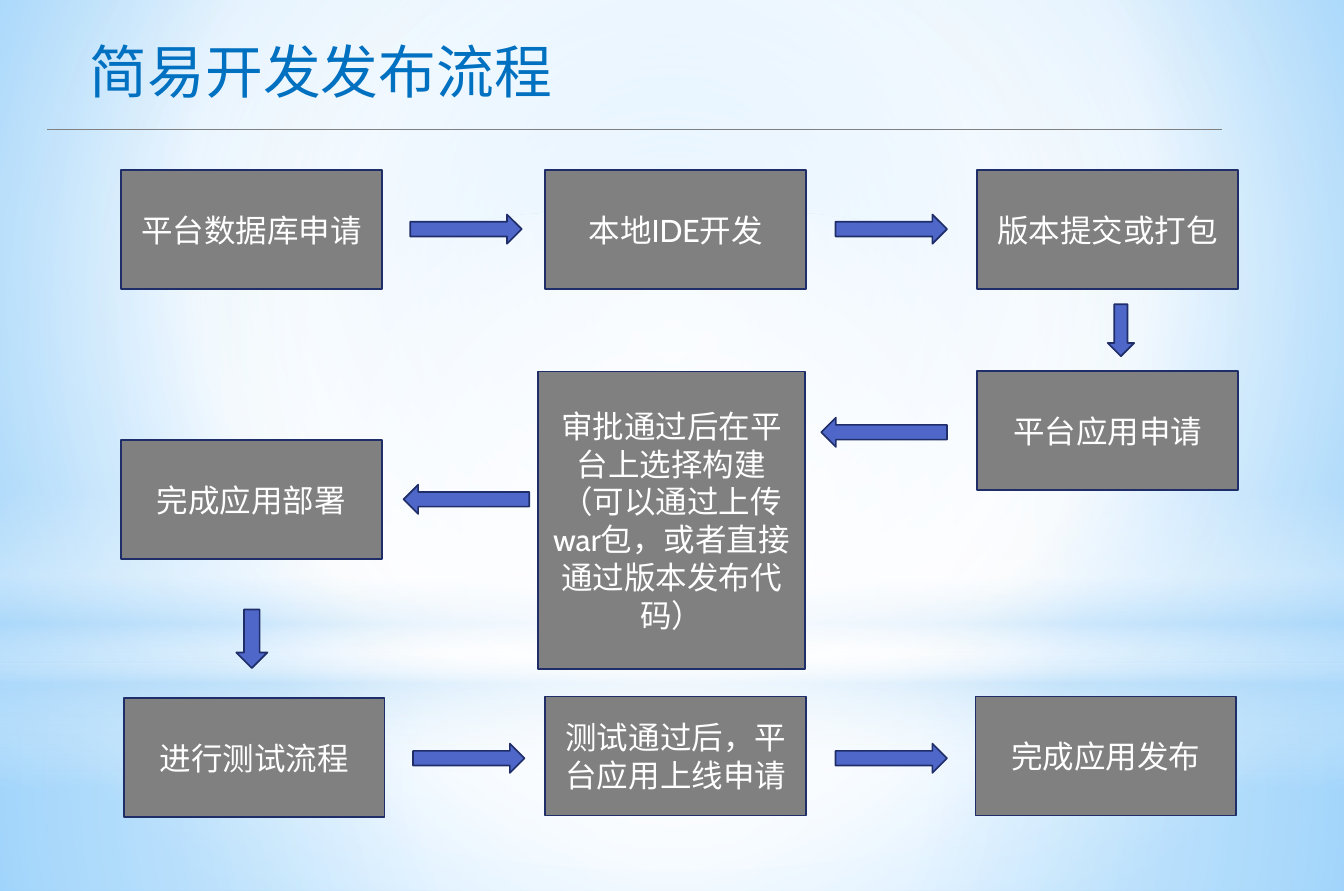
from lxml import etree
from pptx import Presentation
from pptx.dml.color import RGBColor
from pptx.enum import shapes, text
from pptx.oxml import ns
from pptx.util import Inches, Pt

WIDE, HIGH = 14.22, 9.43
BLUE = RGBColor(0x00, 0x70, 0xC0)
GRAY = RGBColor(0x80, 0x80, 0x80)
NAVY = RGBColor(0x1F, 0x2E, 0x69)
INDIGO = RGBColor(0x4E, 0x67, 0xC8)
WHITE = RGBColor(0xFF, 0xFF, 0xFF)
SKY = RGBColor(0xB4, 0xDC, 0xFA)
PALE = RGBColor(0x9E, 0xD5, 0xFF)
DEEP = RGBColor(0x5B, 0xB9, 0xFF)
LATIN, HAN = "Cabin", "Noto Sans CJK SC"

KIND = shapes.MSO_SHAPE
RIGHT, LEFT, DOWN = KIND.RIGHT_ARROW, KIND.LEFT_ARROW, KIND.DOWN_ARROW
MID = (50, 50, 50, 50)

TITLE = "简易开发发布流程"
COLS = (1.28, 5.77, 10.34)
ROWS = (1.8, 3.93, 7.37)
BOX_W, BOX_H = 2.76, 1.26
ARROW_H = 0.31

BACK = [(0, PALE, 100), (60, WHITE, 100), (100, DEEP, 100)]
GLOWS = [
    (KIND.RECTANGLE, 7.02, 2.41, MID,
     [(0, WHITE, 91), (37, WHITE, 76), (100, SKY, 79)]),
    (KIND.RECTANGLE, 0, 7.02, MID,
     [(0, WHITE, 89), (48, WHITE, 62), (100, SKY, 79)]),
    (KIND.RECTANGLE, 5.18, 3.14, None,
     [(0, WHITE, 0), (29, WHITE, 30), (45, SKY, 40),
      (55, WHITE, 26), (65, SKY, 60), (100, WHITE, 0)]),
    (KIND.OVAL, 2.2, 7.02, MID, [(0, WHITE, 100), (56, WHITE, 0)]),
]
STEPS = [
    (COLS[0], ROWS[0], BOX_W, BOX_H, ["平台数据库申请"]),
    (COLS[1], ROWS[0], BOX_W, BOX_H, ["本地IDE开发"]),
    (COLS[2], ROWS[0], BOX_W, BOX_H, ["版本提交或打包"]),
    (COLS[2], ROWS[1], BOX_W, BOX_H, ["平台应用申请"]),
    (5.69, ROWS[1], 2.83, 3.15,
     ["审批通过后在平台上选择构建",
      "（可以通过上传war包，或者直接通过版本发布代码）"]),
    (COLS[0], 4.66, BOX_W, BOX_H, ["完成应用部署"]),
    (1.31, 7.39, BOX_W, BOX_H, ["进行测试流程"]),
    (COLS[1], ROWS[2], BOX_W, BOX_H, ["测试通过后，平台应用上线申请"]),
    (10.32, ROWS[2], BOX_W, BOX_H, ["完成应用发布"]),
]
ARROWS = [
    (RIGHT, 4.34, 2.27, 1.18, ARROW_H),
    (RIGHT, 8.84, 2.27, 1.18, ARROW_H),
    (DOWN, 11.72, 3.22, 0.28, 0.55),
    (LEFT, 8.69, 4.42, 1.33, ARROW_H),
    (LEFT, 4.27, 5.13, 1.33, ARROW_H),
    (DOWN, 2.5, 6.45, 0.33, 0.62),
    (RIGHT, 4.37, 7.87, 1.18, ARROW_H),
    (RIGHT, 8.84, 7.87, 1.18, ARROW_H),
]


def add(node, tag, **attrs):
    return etree.SubElement(node, ns.qn(tag), {k: str(v) for k, v in attrs.items()})


def blend(old, stops, focus):
    grad = etree.Element(ns.qn("a:gradFill"), rotWithShape="1")
    group = add(grad, "a:gsLst")
    for pos, color, alpha in stops:
        stop = add(group, "a:gs", pos=pos * 1000)
        tint = add(stop, "a:srgbClr", val=color)
        if alpha < 100:
            add(tint, "a:alpha", val=alpha * 1000)
    if focus:
        way = add(grad, "a:path", path="circle")
        add(way, "a:fillToRect", **{k: v * 1000 for k, v in zip("ltrb", focus)})
    else:
        add(grad, "a:lin", ang=90 * 60000, scaled=0)
    old.getparent().replace(old, grad)


def place(slide, kind, left, top, wide, high):
    shape = slide.shapes.add_shape(kind, *map(Inches, (left, top, wide, high)))
    shape.shadow.inherit = False
    return shape


def paint(shape, color):
    shape.fill.solid()
    shape.fill.fore_color.rgb = color
    shape.line.color.rgb = NAVY
    shape.line.width = Pt(1.25)


def style(para, face, size, color):
    font = para.font
    font.name, font.size = face, Pt(size)
    font.color.rgb = color
    add(font._element, "a:ea", typeface=LATIN)


def main():
    deck = Presentation()
    deck.slide_width, deck.slide_height = Inches(WIDE), Inches(HIGH)
    slide = deck.slides.add_slide(deck.slide_layouts[6])

    slide.background.fill.solid()
    base = slide._element.find(".//" + ns.qn("p:bgPr"))
    blend(base.find(ns.qn("a:solidFill")), BACK, (20, 10, 20, 60))
    for kind, top, high, focus, stops in GLOWS:
        glow = place(slide, kind, 0, top, WIDE, high)
        glow.line.fill.background()
        glow.fill.background()
        blend(glow._element.spPr.find(ns.qn("a:noFill")), stops, focus)

    head = slide.shapes.add_textbox(*map(Inches, (0.81, 0.31, 6.19, 0.88)))
    frame = head.text_frame
    frame.word_wrap = True
    frame.auto_size = text.MSO_AUTO_SIZE.SHAPE_TO_FIT_TEXT
    frame.margin_left = frame.margin_right = Inches(0.14)
    frame.margin_top = frame.margin_bottom = Inches(0.07)
    frame.text = TITLE
    style(frame.paragraphs[0], HAN, 44, BLUE)

    rule = slide.shapes.add_connector(
        shapes.MSO_CONNECTOR.STRAIGHT, *map(Inches, (0.5, 1.37, 12.93, 1.37)))
    rule.line.color.rgb = GRAY
    rule.line.width = Pt(0.75)
    add(rule._element.spPr, "a:effectLst")

    for *spot, lines in STEPS:
        box = place(slide, KIND.RECTANGLE, *spot)
        paint(box, GRAY)
        frame = box.text_frame
        frame.word_wrap = True
        frame.vertical_anchor = text.MSO_ANCHOR.MIDDLE
        frame.text = "\n".join(lines)
        for para in frame.paragraphs:
            para.alignment = text.PP_ALIGN.CENTER
            style(para, LATIN, 24, WHITE)

    for kind, *spot in ARROWS:
        paint(place(slide, kind, *spot), INDIGO)

    deck.save("out.pptx")


if __name__ == "__main__":
    main()
